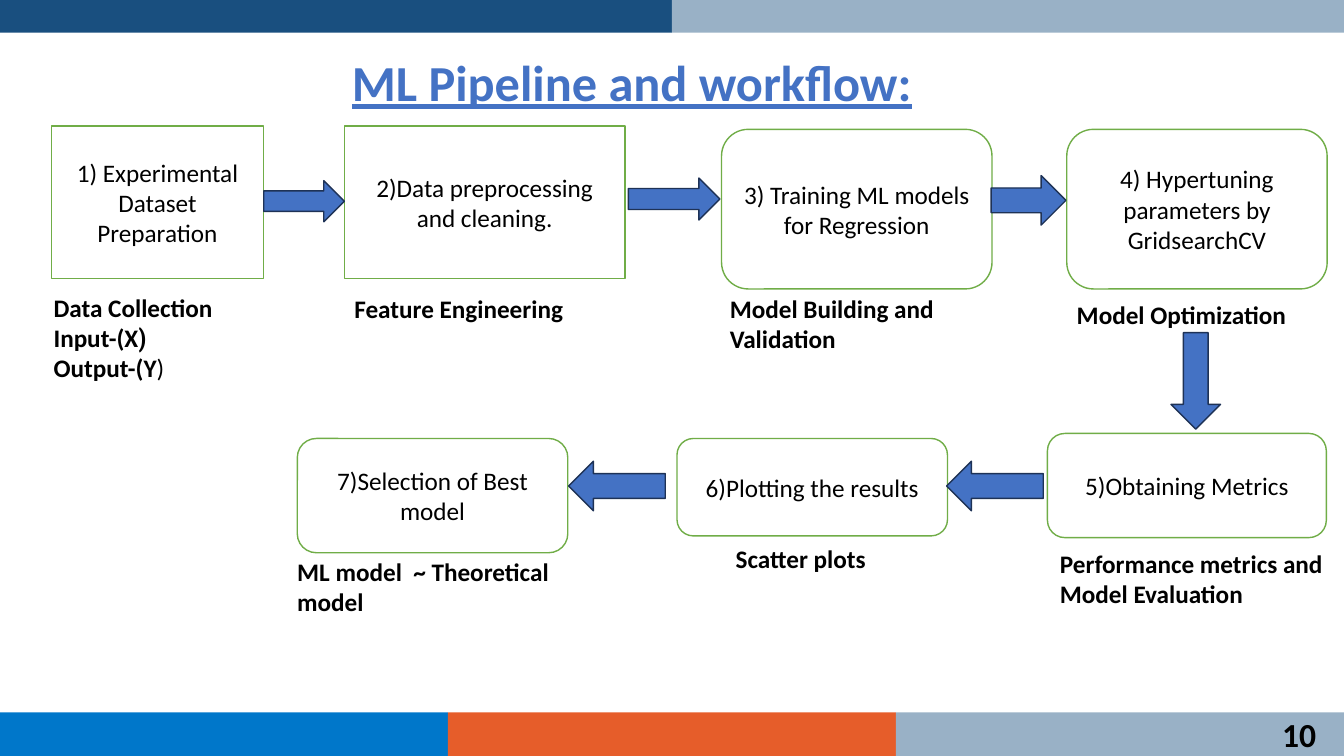
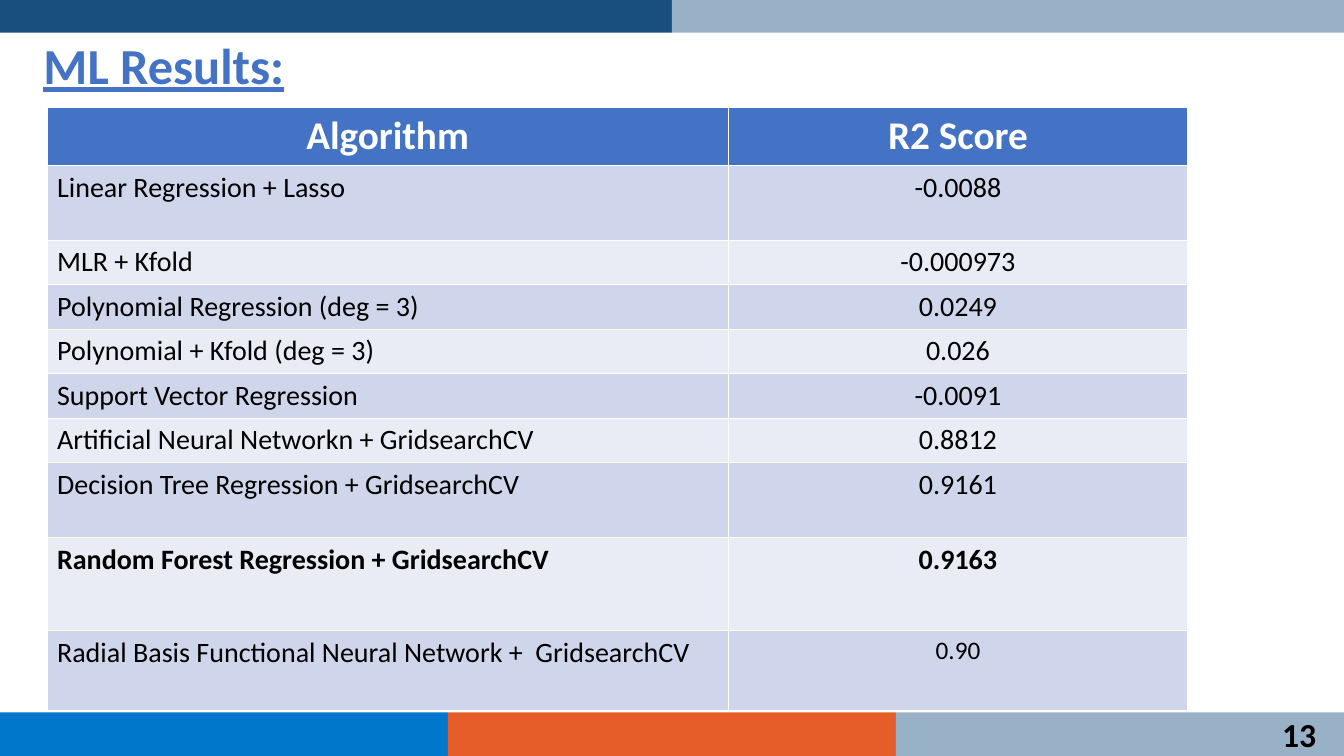
from dataclasses import dataclass

from pptx import Presentation
from pptx import util as u
from pptx.dml.color import RGBColor
from pptx.enum import shapes, text

KIND = shapes.MSO_SHAPE
SIDE = text.PP_ALIGN
MID = text.MSO_ANCHOR.MIDDLE


@dataclass(frozen=True)
class Theme:
    """Colours, fonts and type sizes that all slides share."""
    blue: str = "4472C4"
    edge: str = "1E3256"
    green: str = "70AD47"
    white: str = "FFFFFF"
    black: str = "000000"
    pale: tuple = ("E9EBF5", "CFD5EA")
    top: tuple = ("194F7F", "99B1C6")
    foot: tuple = ("0077CA", "E65D2A", "99B1C6")
    font: str = "Calibri"
    alt: str = "Roboto Condensed"
    title: int = 36
    head: int = 28
    page: int = 24
    cell: int = 20
    body: int = 18


class Deck:
    """Draws on the current slide, on a grid of 160 columns by 90 rows."""

    def __init__(self, look):
        self.look = look
        self.show = Presentation()
        self.show.slide_width = u.Inches(13.33)
        self.show.slide_height = u.Inches(7.5)
        self.slide = None

    def cols(self, n):
        return round(self.show.slide_width * n / 160)

    def rows(self, n):
        return round(self.show.slide_height * n / 90)

    def place(self, x, y, w, h):
        return self.cols(x), self.rows(y), self.cols(w), self.rows(h)

    def page(self, title, area, number):
        self.slide = self.show.slides.add_slide(self.show.slide_layouts[6])
        self.band(self.look.top, 0, 3.9)
        last = self.band(self.look.foot, 84.8, 5.2)
        frame = last.text_frame
        frame.margin_right = self.cols(3.3)
        frame.margin_top = frame.margin_bottom = 0
        self.fill(frame, str(number), self.look.page, bold=True, side=SIDE.RIGHT)
        frame = self.label(title, area, self.look.title, self.look.blue)
        frame.vertical_anchor = MID
        line = frame.paragraphs[0]
        line.line_spacing = 0.9
        line.runs[0].font.underline = True

    def fill(self, frame, words, size, color=None, bold=False, side=SIDE.LEFT):
        frame.text = words
        frame.word_wrap = True
        for line in frame.paragraphs:
            line.alignment = side
            for run in line.runs:
                self.style(run.font, size, color, bold)

    def style(self, font, size, color=None, bold=False, name=None):
        font.name = name or self.look.font
        font.size = u.Pt(size)
        font.bold = bold
        font.color.rgb = RGBColor.from_string(color or self.look.black)

    def shape(self, kind, area, fill, edge=None):
        item = self.slide.shapes.add_shape(kind, *self.place(*area))
        item.shadow.inherit = False
        item.fill.solid()
        item.fill.fore_color.rgb = RGBColor.from_string(fill)
        if edge:
            item.line.color.rgb = RGBColor.from_string(edge)
            item.line.width = u.Pt(1)
        else:
            item.line.fill.background()
        item.text_frame.vertical_anchor = MID
        return item

    def band(self, fills, y, h):
        w = 160 / len(fills)
        for i, fill in enumerate(fills):
            item = self.shape(KIND.RECTANGLE, (i * w, y, w, h), fill)
        return item

    def step(self, words, area, kind=KIND.FLOWCHART_ALTERNATE_PROCESS):
        item = self.shape(kind, area, self.look.white, self.look.green)
        self.fill(item.text_frame, words, self.look.body, side=SIDE.CENTER)

    def arrow(self, kind, area):
        self.shape(kind, area, self.look.blue, self.look.edge)

    def label(self, words, area, size=None, color=None):
        frame = self.slide.shapes.add_textbox(*self.place(*area)).text_frame
        self.fill(frame, words, size or self.look.body, color, bold=True)
        return frame

    def tail(self, line, words, bold, name=None):
        run = line.add_run()
        run.text = words
        self.style(run.font, self.look.body, bold=bold, name=name)

    def table(self, data, x, y, wide, high, star):
        area = self.place(x, y, sum(wide), sum(high))
        grid = self.slide.shapes.add_table(len(data), len(wide), *area).table
        for col, w in zip(grid.columns, wide):
            col.width = self.cols(w)
        for r, (row, h) in enumerate(zip(data, high)):
            grid.rows[r].height = self.rows(h)
            for c, words in enumerate(row):
                self.cell(grid.cell(r, c), words, r, c, r in (0, star))
        return grid

    def cell(self, cell, words, r, c, bold):
        look = self.look
        size, ink, fill = look.cell, look.black, look.pale[r % 2]
        if r == 0:
            size, ink, fill = look.head, look.white, look.blue
        cell.fill.solid()
        cell.fill.fore_color.rgb = RGBColor.from_string(fill)
        side = SIDE.LEFT if r and not c else SIDE.CENTER
        self.fill(cell.text_frame, words, size, ink, bold, side)


STEPS = [
    ("1) Experimental Dataset Preparation", (6.1, 15, 25.3, 18.2), KIND.RECTANGLE),
    ("2)Data preprocessing and cleaning.", (41, 15, 33.4, 18.2), KIND.RECTANGLE),
    ("3) Training ML models for Regression", (85.9, 15.4, 32.2, 19)),
    ("4) Hypertuning parameters by GridsearchCV", (127, 15.4, 31, 19)),
    ("5)Obtaining Metrics", (124.7, 51.6, 33.2, 12.4)),
    ("6)Plotting the results", (80.6, 52.2, 32.2, 11.6)),
    ("7)Selection of Best model", (35.4, 52.2, 32.2, 13.6)),
]
ARROWS = [
    (KIND.RIGHT_ARROW, (31.4, 21.5, 9.6, 4.9)),
    (KIND.RIGHT_ARROW, (74.8, 21.2, 10.9, 5)),
    (KIND.RIGHT_ARROW, (118, 20.9, 8.9, 5.9)),
    (KIND.DOWN_ARROW, (139.4, 39.6, 5.9, 11.5)),
    (KIND.LEFT_ARROW, (112.7, 54.9, 11.5, 5.9)),
    (KIND.LEFT_ARROW, (67.7, 54.9, 11.5, 5.9)),
]
LABELS = [
    ("Feature Engineering", (41, 34.3, 43, 4.8)),
    ("Model Building and Validation", (85.7, 34.3, 35.2, 8.5)),
    ("Model Optimization", (127, 35, 33, 4.8)),
    ("Performance metrics and Model Evaluation", (125, 64.7, 35, 8.5)),
    ("Scatter plots", (86.4, 64.1, 35.2, 4.8)),
    ("ML model  ~ Theoretical model", (34.2, 65.6, 39.2, 8.5)),
]
SCORES = [
    ("Algorithm", "R2 Score"),
    ("Linear Regression + Lasso", "-0.0088"),
    ("MLR + Kfold", "-0.000973"),
    ("Polynomial Regression (deg = 3)", "0.0249"),
    ("Polynomial + Kfold (deg = 3)", "0.026"),
    ("Support Vector Regression", "-0.0091"),
    ("Artificial Neural Networkn + GridsearchCV", "0.8812"),
    ("Decision Tree Regression + GridsearchCV", "0.9161"),
    ("Random Forest Regression + GridsearchCV", "0.9163"),
    ("Radial Basis Functional Neural Network +  GridsearchCV", "0.90"),
]


def flow(deck):
    deck.page("ML Pipeline and workflow:", (40.7, 4.4, 89.9, 11.4), 10)
    for step in STEPS:
        deck.step(*step)
    for arrow in ARROWS:
        deck.arrow(*arrow)
    for label in LABELS:
        deck.label(*label)
    data = deck.label("Data Collection\nInput-(X\nOutput-(Y", (5.2, 34.2, 23.9, 12.1))
    deck.tail(data.paragraphs[1], ")", True, deck.look.alt)
    deck.tail(data.paragraphs[2], ")", False)


def results(deck):
    deck.page("ML Results:", (4, 0.8, 131.9, 14.6), 13)
    high = [6.9, 8.9] + [5.3] * 5 + [8.9, 11.1, 9.5]
    grid = deck.table(SCORES, 5.6, 12.8, (81.1, 54.7), high, star=8)
    last = grid.cell(9, 1).text_frame.paragraphs[0].runs[0]
    last.font.size = u.Pt(deck.look.body)


def main():
    deck = Deck(Theme())
    flow(deck)
    results(deck)
    deck.show.save("out.pptx")


if __name__ == "__main__":
    main()
